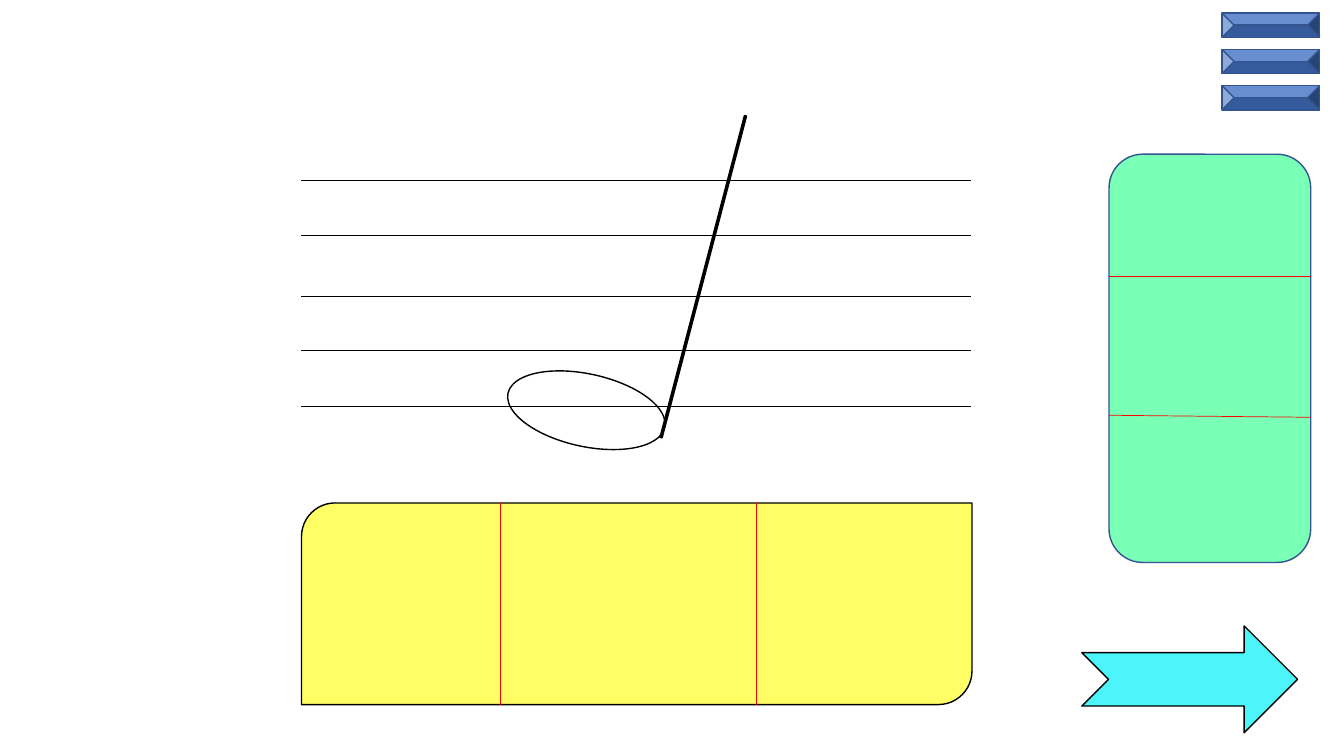
"""Build a music slide: a half note on a staff, answer panels and navigation shapes."""
from typing import NamedTuple, Optional

from lxml import etree
from pptx import Presentation
from pptx.dml.color import RGBColor
from pptx.enum.shapes import MSO_CONNECTOR, MSO_SHAPE as Preset
from pptx.oxml.ns import qn
from pptx.slide import Slide
from pptx.util import Inches, Pt

COLORS = {
    "black": "000000",
    "red": "FF0000",
    "blue": "4472C4",
    "navy": "325491",
    "yellow": "FFFF65",
    "cyan": "4CF5F9",
    "green": "79FFB6",
}


class Rule(NamedTuple):
    x1: float
    y1: float
    x2: float
    y2: float
    color: str


class Figure(NamedTuple):
    preset: Preset
    left: float
    top: float
    width: float
    height: float
    fill: Optional[str]
    outline: str = "black"
    rotation: float = 0
    adjustment: Optional[float] = None


STAFF_LEFT, STAFF_RIGHT = 2.99, 9.63
PANEL_TOP, PANEL_BOTTOM = 4.99, 6.99
CARD_LEFT, CARD_RIGHT = 11, 13
MENU_TOP, MENU_STEP = 0.13, 0.36

STAFF = [Rule(STAFF_LEFT, y, STAFF_RIGHT, y, "black") for y in (1.79, 2.34, 2.94, 3.48, 4.03)]
MENU = [
    Figure(Preset.BEVEL, 12.12, MENU_TOP + bar * MENU_STEP, 0.97, 0.24, "blue", "navy", adjustment=0.5)
    for bar in range(3)
]
NOTE = [
    Figure(Preset.OVAL, 5.02, 3.71, 1.59, 0.72, None, rotation=12.3),
    Figure(Preset.MATH_MINUS, 4.73, 2.7, 4.49, 0.09, "black", rotation=104.7, adjustment=0.24),
]
PANEL = Figure(Preset.ROUND_2_DIAG_RECTANGLE, STAFF_LEFT, PANEL_TOP, 6.65, PANEL_BOTTOM - PANEL_TOP, "yellow")
PANEL_DIVIDERS = [Rule(x, PANEL_TOP, x, PANEL_BOTTOM, "red") for x in (4.96, 7.5)]
NEXT_ARROW = Figure(Preset.NOTCHED_RIGHT_ARROW, 10.73, 6.21, 2.14, 1.06, "cyan")
CARD = Figure(Preset.ROUNDED_RECTANGLE, CARD_LEFT, 1.53, CARD_RIGHT - CARD_LEFT, 4.05, "green", "navy")
CARD_DIVIDERS = [
    Rule(CARD_LEFT, start, CARD_RIGHT, end, "red") for start, end in ((2.74, 2.74), (4.12, 4.14))
]


def rgb(name: str) -> RGBColor:
    """Return the named colour."""
    return RGBColor.from_string(COLORS[name])


def draw_rule(slide: Slide, rule: Rule) -> None:
    """Draw a thin straight line without a shadow."""
    stroke = slide.shapes.add_connector(
        MSO_CONNECTOR.STRAIGHT, Inches(rule.x1), Inches(rule.y1), Inches(rule.x2), Inches(rule.y2)
    )
    stroke.line.color.rgb = rgb(rule.color)
    stroke.line.width = Pt(0.5)
    etree.SubElement(stroke._element.spPr, qn("a:effectLst"))


def draw_figure(slide: Slide, figure: Figure) -> None:
    """Draw a preset shape with its fill, outline and rotation."""
    body = slide.shapes.add_shape(
        figure.preset, Inches(figure.left), Inches(figure.top), Inches(figure.width), Inches(figure.height)
    )
    body.shadow.inherit = False
    body.rotation = figure.rotation
    if figure.adjustment is not None:
        body.adjustments[0] = figure.adjustment
    if figure.fill is None:
        body.fill.background()
    else:
        body.fill.solid()
        body.fill.fore_color.rgb = rgb(figure.fill)
    body.line.color.rgb = rgb(figure.outline)
    body.line.width = Pt(1)


def main() -> None:
    """Assemble the slide from back to front and save it."""
    deck = Presentation()
    deck.slide_width, deck.slide_height = Inches(13.33), Inches(7.5)
    slide = deck.slides.add_slide(deck.slide_layouts[6])
    for part in (*STAFF, *MENU, *NOTE, PANEL, *PANEL_DIVIDERS, NEXT_ARROW, CARD, *CARD_DIVIDERS):
        if isinstance(part, Rule):
            draw_rule(slide, part)
        else:
            draw_figure(slide, part)
    deck.save("out.pptx")


if __name__ == "__main__":
    main()
